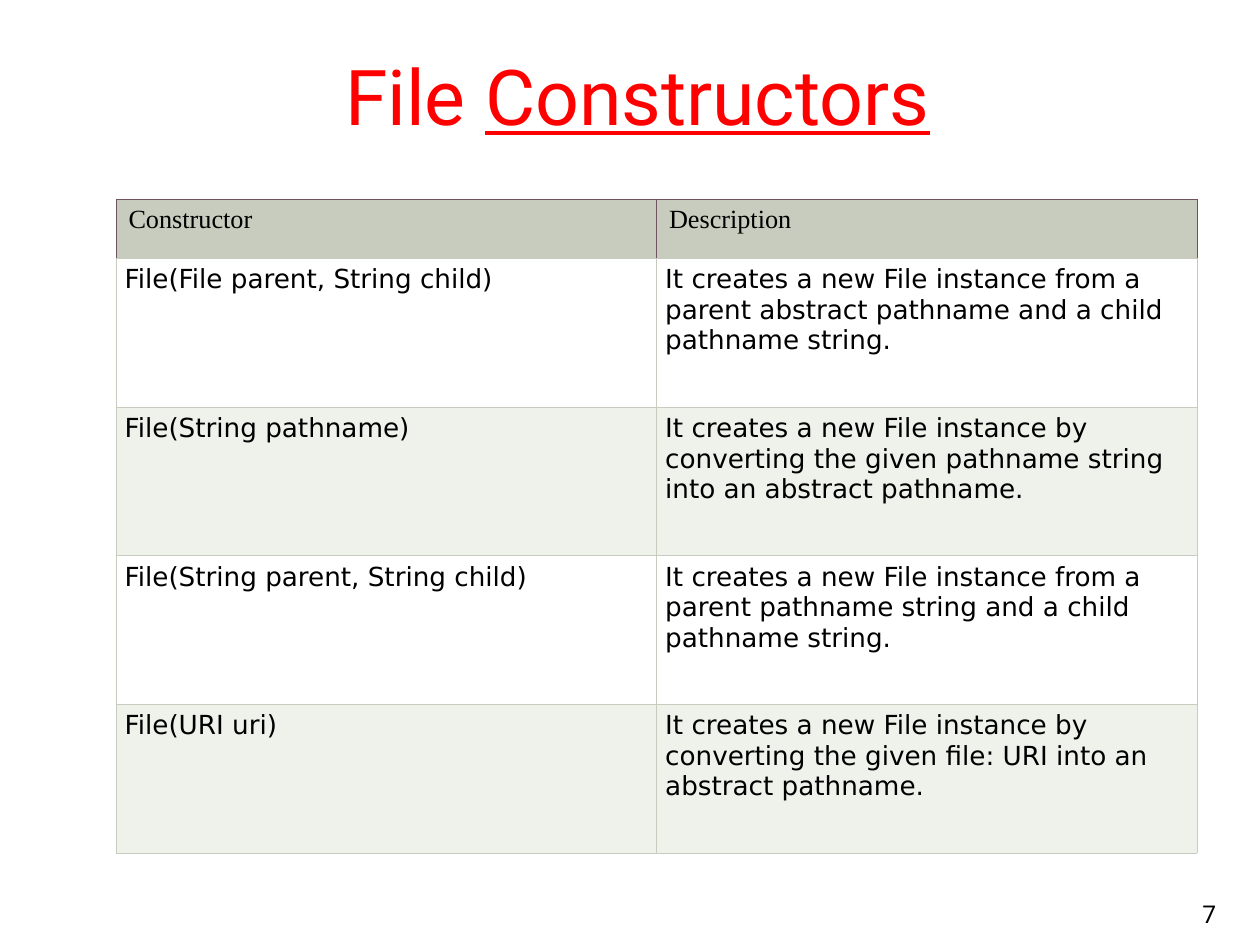
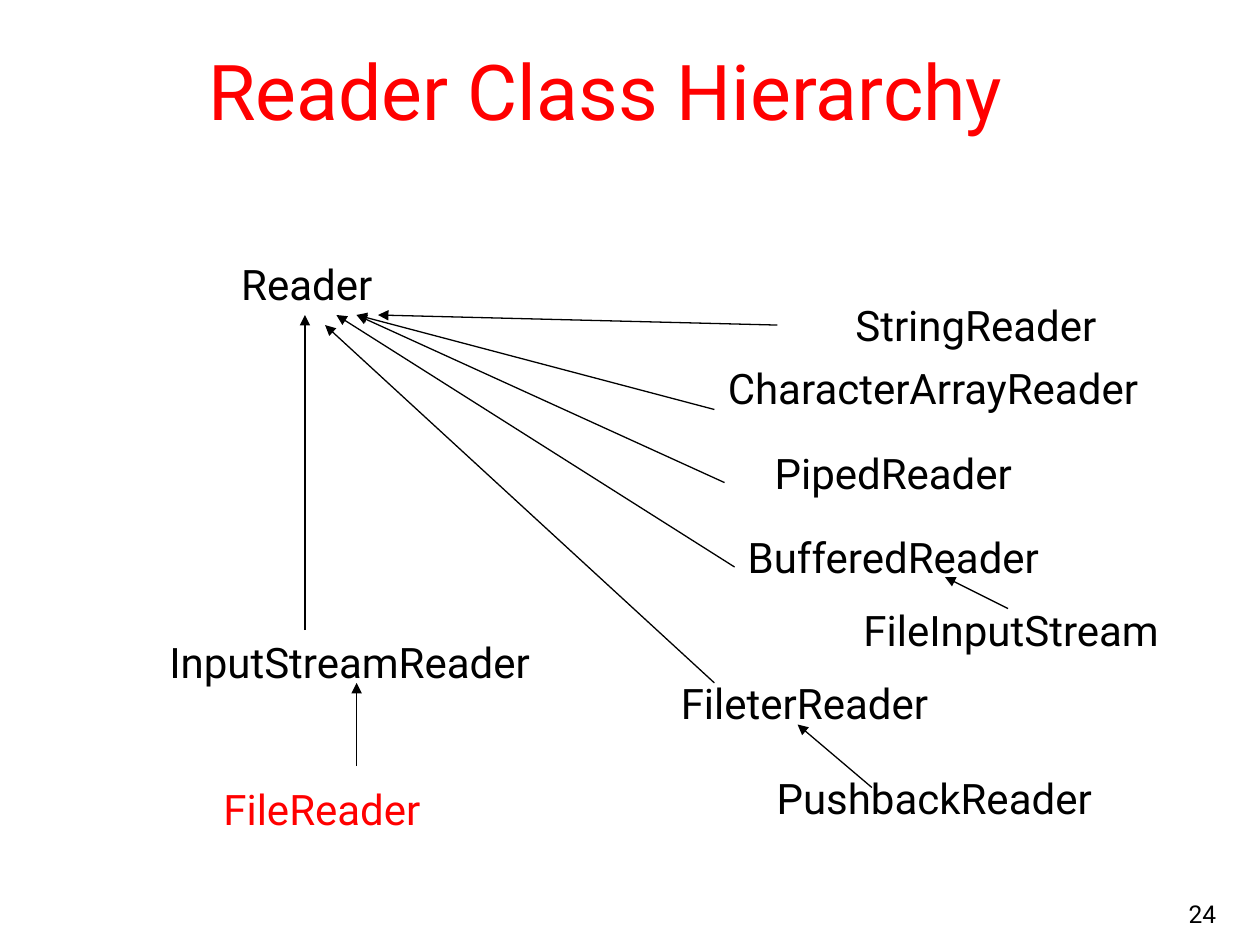
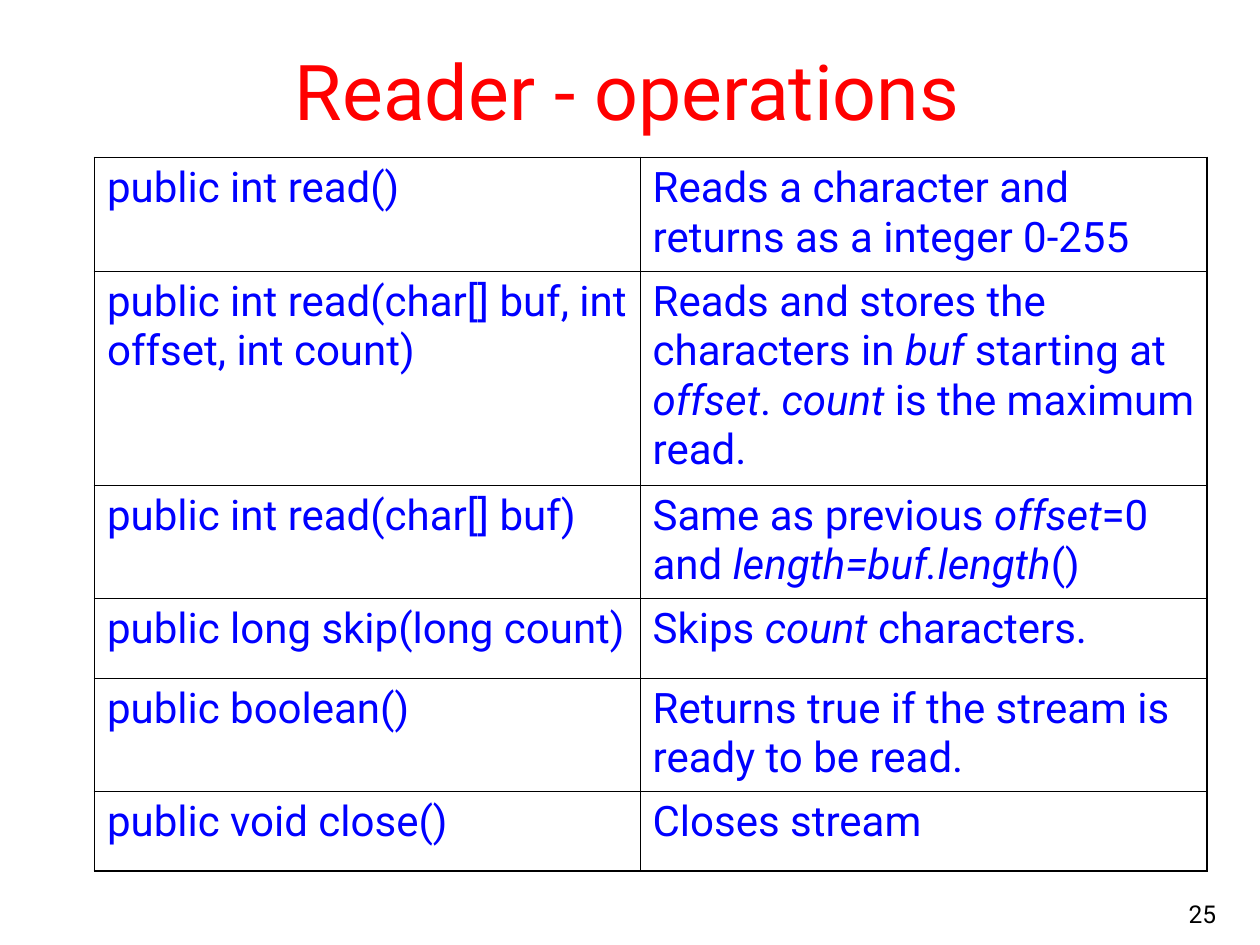
from lxml.etree import SubElement
from pptx import Presentation
from pptx.dml.color import RGBColor
from pptx.enum.shapes import MSO_CONNECTOR as CONN
from pptx.enum.text import MSO_ANCHOR as ANCHOR, MSO_AUTO_SIZE as FIT, PP_ALIGN as ALIGN
from pptx.oxml.ns import qn
from pptx.util import Inches, Pt

COLORS = {
    "title": "FF0000", "text": "000000", "paper": "FFFFFF", "code": "0000FF",
    "sage": "C7CCBE", "band": "EFF1EB", "plum": "705361",
}
FONT, SERIF, SANS = "Roboto", "Times New Roman", "DejaVu Sans"

CONSTRUCTORS = [
    ("Constructor", "Description"),
    ("File(File parent, String child)",
     "It creates a new File instance from a parent abstract pathname and a child pathname string."),
    ("File(String pathname)",
     "It creates a new File instance by converting the given pathname string into an abstract pathname."),
    ("File(String parent, String child)",
     "It creates a new File instance from a parent pathname string and a child pathname string."),
    ("File(URI uri)",
     "It creates a new File instance by converting the given file: URI into an abstract pathname."),
]

CLASSES = [
    ("Reader", 1.78, 2, 1.31, "text"),
    ("StringReader", 6.62, 2.33, 2.25, "text"),
    ("CharacterArrayReader", 5.56, 2.83, 3.69, "text"),
    ("PipedReader", 5.99, 3.5, 2.2, "text"),
    ("BufferedReader", 5.75, 4.17, 2.68, "text"),
    ("FileInputStream", 6.67, 4.75, 2.71, "text"),
    ("InputStreamReader", 1.13, 5, 3.29, "text"),
    ("FileterReader", 4.62, 5.33, 3.53, "text"),
    ("FileReader", 1.17, 6.17, 2.77, "title"),
    ("PushbackReader", 5.75, 6.08, 3.33, "text"),
]
ARROWS = [
    ((6.17, 2.58), (3, 2.5)),
    ((5.67, 3.25), (2.83, 2.5)),
    ((5.75, 3.83), (2.83, 2.5)),
    ((5.83, 4.5), (2.67, 2.5)),
    ((2.42, 5), (2.42, 2.5)),
    ((2.83, 6.08), (2.83, 5.42)),
    ((5.67, 5.42), (2.58, 2.58)),
    ((6.92, 6.25), (6.33, 5.75)),
    ((8, 4.83), (7.5, 4.58)),
]

OPERATIONS = [
    ("public int read()", "Reads a character and returns as a integer 0-255", 0.9),
    ("public int read(char[] buf, int offset, int count)",
     "Reads and stores the characters in *buf *starting at *offset*. *count *is the maximum read.", 1.7),
    ("public int read(char[] buf)",
     "Same as previous *offset*=0 and *length=buf.length*()", 0.9),
    ("public long skip(long count)", "Skips *count* characters.", 0.63),
    ("public boolean()", "Returns true if the stream is ready to be read.", 0.9),
    ("public void close()", "Closes stream", 0.63),
]


def rgb(name):
    return RGBColor.from_string(COLORS[name])


def style(r, size, color="text", font=FONT):
    r.font.size, r.font.name = Pt(size), font
    r.font.color.rgb = rgb(color)


def add_rich(p, text, size, color="text", font=FONT):
    for i, piece in enumerate(text.split("*")):
        r = p.add_run()
        r.text = piece
        style(r, size, color, font)
        if i % 2:
            r.font.italic = True


def add_text(s, text, box, size, color="text", align=ALIGN.CENTER, anchor=ANCHOR.TOP, wrap=False):
    tf = s.shapes.add_textbox(*map(Inches, box)).text_frame
    tf.word_wrap, tf.vertical_anchor = wrap, anchor
    tf.text = text
    p = tf.paragraphs[0]
    p.alignment = align
    style(p.runs[0], size, color)


def add_slide(prs, pieces, left, top, number):
    s = prs.slides.add_slide(prs.slide_layouts[5])
    title = s.shapes.title
    title.left, title.top, title.width, title.height = map(Inches, (left, top, 9.62, 1.08))
    title.fill.solid()
    title.fill.fore_color.rgb = rgb("paper")
    tf = title.text_frame
    tf.auto_size, tf.word_wrap, tf.vertical_anchor = FIT.NONE, True, ANCHOR.MIDDLE
    p = tf.paragraphs[0]
    p.alignment = ALIGN.CENTER
    for piece in pieces:
        r = p.add_run()
        r.text = piece
        style(r, 44, "title")
    add_text(s, str(number), (7.67, 6.92, 2.08, 0.5), 14,
             align=ALIGN.RIGHT, anchor=ANCHOR.BOTTOM, wrap=True)
    return s


def add_grid(s, left, top, widths, heights):
    box = map(Inches, (left, top, sum(widths), sum(heights)))
    table = s.shapes.add_table(len(heights), len(widths), *box).table
    table.first_row = table.horz_banding = False
    for column, width in zip(table.columns, widths):
        column.width = Inches(width)
    for row, height in zip(table.rows, heights):
        row.height = Inches(height)
    return table


def set_borders(cell, sides):
    pr = cell._tc.get_or_add_tcPr()
    for i, (side, (color, width)) in enumerate(zip("LRTB", sides)):
        ln = pr.makeelement(qn(f"a:ln{side}"), {"w": str(Pt(width))})
        fill = SubElement(ln, qn("a:solidFill"))
        SubElement(fill, qn("a:srgbClr"), val=COLORS[color])
        pr.insert(i, ln)


def add_arrow(s, start, end):
    c = s.shapes.add_connector(CONN.STRAIGHT, *map(Inches, start + end))
    c.line.color.rgb, c.line.width = rgb("text"), Pt(0.75)
    SubElement(c.line._get_or_add_ln(), qn("a:tailEnd"), type="triangle")
    SubElement(c._element.spPr, qn("a:effectLst"))


def constructors_slide(prs):
    s = add_slide(prs, ["File ", "Constructors"], 0.25, 0.58, 7)
    tf = s.shapes.title.text_frame
    tf.vertical_anchor, tf.margin_bottom = ANCHOR.BOTTOM, Inches(0.54)
    tf.paragraphs[0].runs[1].font.underline = True
    table = add_grid(s, 0.92, 1.58, [4.29] * 2, [0.47] + [1.18] * 4)
    for i, row in enumerate(CONSTRUCTORS):
        fill = "sage" if i == 0 else "paper" if i % 2 else "band"
        edge = "sage" if i else "plum"
        for j, text in enumerate(row):
            cell = table.cell(i, j)
            add_rich(cell.text_frame.paragraphs[0], text, 15, font=SANS if i else SERIF)
            cell.margin_left = cell.margin_right = Inches(0.07 if i else 0.1)
            cell.fill.solid()
            cell.fill.fore_color.rgb = rgb(fill)
            set_borders(cell, [(edge, 0.34)] * 3 + [("sage", 0.34)])


def hierarchy_slide(prs):
    s = add_slide(prs, ["Reader Class Hierarchy"], 0, 0.17, 24)
    for name, left, top, width, color in CLASSES:
        add_text(s, name, (left, top, width, 0.5), 24, color)
    for start, end in ARROWS:
        add_arrow(s, start, end)


def operations_slide(prs):
    s = add_slide(prs, ["Reader - operations"], 0.17, 0.17, 25)
    table = add_grid(s, 0.75, 1.25, [4.33, 4.5], [row[2] for row in OPERATIONS])
    last = len(OPERATIONS) - 1
    for i, row in enumerate(OPERATIONS):
        for j, text in enumerate(row[:2]):
            cell = table.cell(i, j)
            add_rich(cell.text_frame.paragraphs[0], text, 24, "code")
            cell.fill.background()
            outer = (j == 0, j == 1, i == 0, i == last)
            set_borders(cell, [("text", 1.08 if side else 0.45) for side in outer])


def main():
    prs = Presentation()
    prs.slide_width, prs.slide_height = Inches(10), Inches(7.5)
    constructors_slide(prs)
    hierarchy_slide(prs)
    operations_slide(prs)
    prs.save("out.pptx")


if __name__ == "__main__":
    main()
